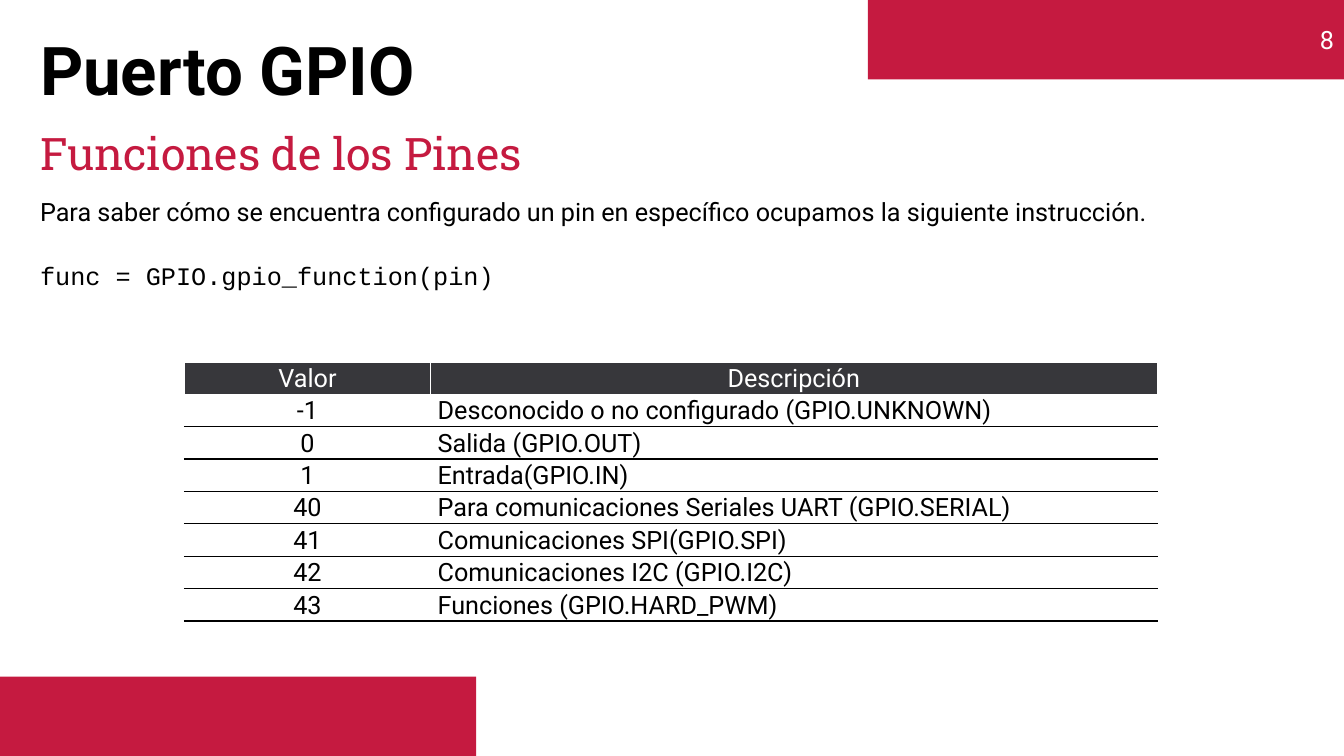
from lxml import etree
from pptx import Presentation
from pptx import util as u
from pptx.dml.color import RGBColor
from pptx.enum import shapes, text
from pptx.oxml import ns

CRIMSON = RGBColor(0xC5, 0x1A, 0x40)
CHARCOAL = RGBColor(0x37, 0x37, 0x3B)
BLACK = RGBColor(0, 0, 0)
WHITE = RGBColor(0xFF, 0xFF, 0xFF)

PAGE_WIDTH, PAGE_HEIGHT = u.Cm(33.87), u.Cm(19.05)
BAR_WIDTH, BAR_HEIGHT = u.Cm(12), u.Cm(2)
MARGIN = u.Cm(0.76)

PIN_FUNCTIONS = [
    ("Valor", "Descripción"),
    ("-1", "Desconocido o no configurado (GPIO.UNKNOWN)"),
    ("0", "Salida (GPIO.OUT)"),
    ("1", "Entrada(GPIO.IN)"),
    ("40", "Para comunicaciones Seriales UART (GPIO.SERIAL)"),
    ("41", "Comunicaciones SPI(GPIO.SPI)"),
    ("42", "Comunicaciones I2C (GPIO.I2C)"),
    ("43", "Funciones (GPIO.HARD_PWM)"),
]


def style_paragraph(para, size, color, font="Roboto", bold=False,
                    align=text.PP_ALIGN.LEFT):
    para.alignment = align
    para.font.name = font
    para.font.size = u.Pt(size)
    para.font.bold = bold
    para.font.color.rgb = color


def add_bar(page, left, top, label=""):
    """Crimson corner bar with an optional right-aligned label."""
    bar = page.shapes.add_shape(shapes.MSO_SHAPE.RECTANGLE,
                                left, top, BAR_WIDTH, BAR_HEIGHT)
    bar.shadow.inherit = False
    bar.fill.solid()
    bar.fill.fore_color.rgb = CRIMSON
    bar.line.fill.background()
    if label:
        bar.text_frame.vertical_anchor = text.MSO_ANCHOR.MIDDLE
        para = bar.text_frame.paragraphs[0]
        para.text = label
        style_paragraph(para, 18, WHITE, align=text.PP_ALIGN.RIGHT)


def add_text(page, left, top, width, height, lines):
    """Wrapped text box; each line is its wording and its paragraph style."""
    box = page.shapes.add_textbox(left, top, width, height)
    frame = box.text_frame
    frame.word_wrap = True
    for index, (wording, style) in enumerate(lines):
        para = frame.add_paragraph() if index else frame.paragraphs[0]
        para.text = wording
        style_paragraph(para, **style)
    return frame


def set_borders(cell, bottom_color, top_color):
    properties = cell._tc.get_or_add_tcPr()
    sides = {"lnL": WHITE, "lnR": WHITE, "lnT": top_color, "lnB": bottom_color}
    for side, color in sides.items():
        line = etree.SubElement(properties, ns.qn(f"a:{side}"), w=str(u.Pt(1)))
        fill = etree.SubElement(line, ns.qn("a:solidFill"))
        etree.SubElement(fill, ns.qn("a:srgbClr"), val=str(color))


def add_function_table(page, left, top, column_widths, height):
    row_count = len(PIN_FUNCTIONS)
    table = page.shapes.add_table(row_count, len(column_widths), left, top,
                                  sum(column_widths), height).table
    table.horz_banding = False
    for column, width in zip(table.columns, column_widths):
        column.width = width

    for row, values in enumerate(PIN_FUNCTIONS):
        is_header = row == 0
        for column, value in enumerate(values):
            cell = table.cell(row, column)
            cell.margin_left = cell.margin_right = u.Cm(0.18)
            cell.margin_top = cell.margin_bottom = 0
            set_borders(cell, WHITE if is_header else BLACK,
                        WHITE if row <= 1 else BLACK)
            if is_header:
                cell.fill.solid()
                cell.fill.fore_color.rgb = CHARCOAL
            else:
                cell.fill.background()
            centred = is_header or column == 0
            para = cell.text_frame.paragraphs[0]
            para.text = value
            para.line_spacing = 1.07
            style_paragraph(
                para, 18, WHITE if is_header else BLACK,
                align=text.PP_ALIGN.CENTER if centred else text.PP_ALIGN.JUSTIFY)


def build_page(page):
    # Corner bars
    add_bar(page, 0, PAGE_HEIGHT - BAR_HEIGHT)
    add_bar(page, PAGE_WIDTH - BAR_WIDTH, 0, "8")

    # Headings
    add_text(page, MARGIN, u.Cm(0.58), u.Cm(21.11), u.Cm(2.31),
             [("Puerto GPIO", dict(size=48, color=BLACK, bold=True))])
    add_text(page, MARGIN, u.Cm(3.05), u.Cm(31.29), u.Cm(1.63),
             [("Funciones de los Pines",
               dict(size=32, color=CRIMSON, font="Roboto Slab"))])

    # Explanation and instruction
    body = dict(size=18, color=BLACK, align=text.PP_ALIGN.JUSTIFY)
    frame = add_text(page, MARGIN, u.Cm(4.83), u.Cm(32.72), u.Cm(2.57), [
        ("Para saber cómo se encuentra configurado un pin en específico "
         "ocupamos la siguiente instrucción.", body),
        ("func = GPIO.gpio_function(pin)", dict(body, font="Courier New")),
    ])
    frame.paragraphs[1].space_before = u.Pt(24)

    # Pin function values
    add_function_table(page, u.Cm(4.65), u.Cm(9.12),
                       [u.Cm(6.2), u.Cm(18.31)], u.Cm(6.52))


def main():
    deck = Presentation()
    deck.slide_width, deck.slide_height = PAGE_WIDTH, PAGE_HEIGHT
    build_page(deck.slides.add_slide(deck.slide_layouts[6]))
    deck.save("out.pptx")


if __name__ == "__main__":
    main()
